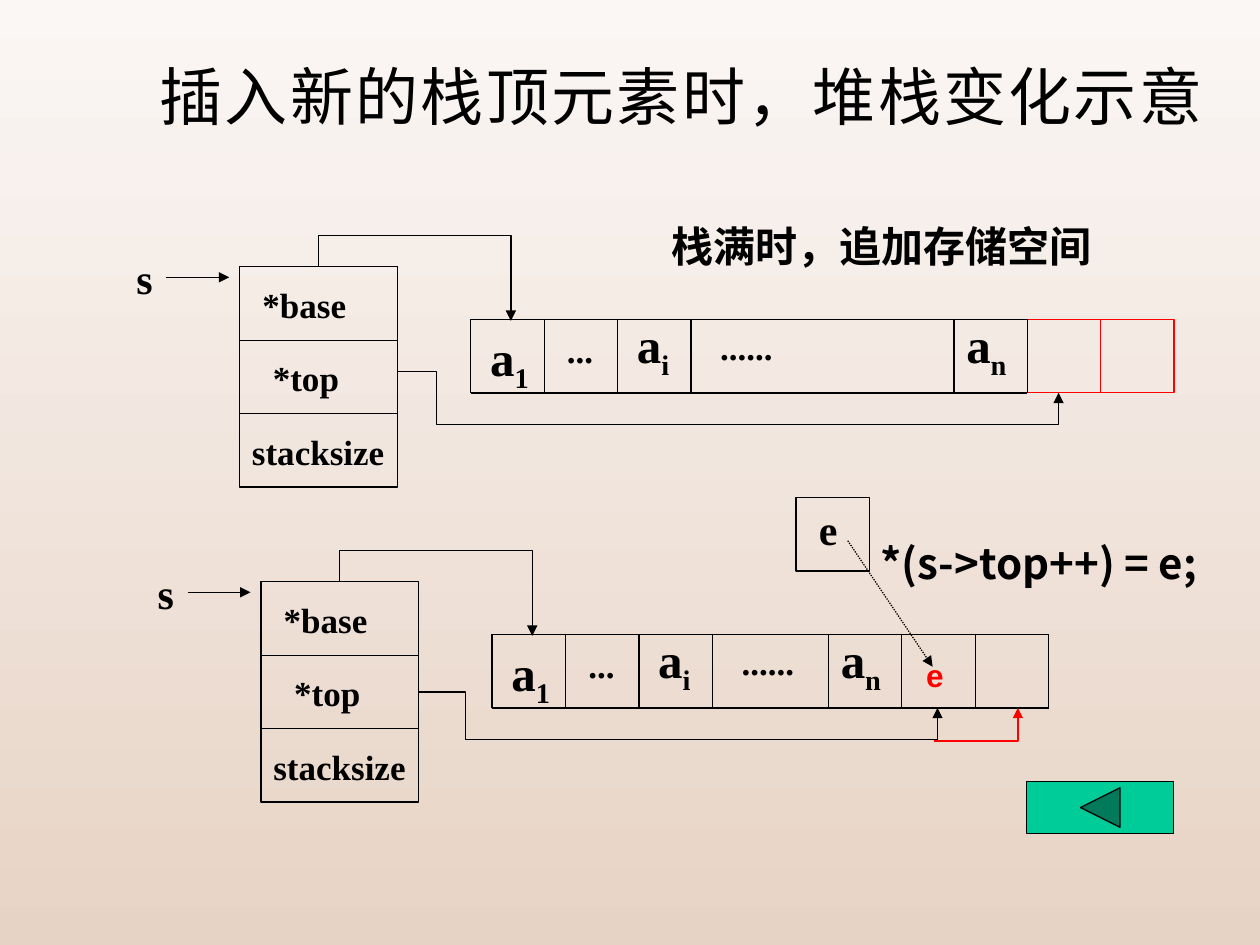
"""Build a slide on how a stack changes when a new top element is pushed."""
import lxml.etree
import pptx
import pptx.dml.color
import pptx.enum.dml
import pptx.enum.shapes
import pptx.enum.text
import pptx.oxml.ns
import pptx.util

Cm, Pt, qn = pptx.util.Cm, pptx.util.Pt, pptx.oxml.ns.qn
Shape = pptx.enum.shapes.MSO_SHAPE
Link = pptx.enum.shapes.MSO_CONNECTOR
Fit = pptx.enum.text.MSO_AUTO_SIZE
Align = pptx.enum.text.PP_ALIGN
Anchor = pptx.enum.text.MSO_ANCHOR

SERIF, HAN = "Times New Roman", "Noto Sans CJK SC"
BLACK, RED = "000000", "FF0000"
CELL, WIDE = 1.48, 3.18
ROW_X, ROW_Y, ROW_W = 4.66, 1.06, 11.22
TITLE = "插入新的栈顶元素时，堆栈变化示意"

LABELS = [
    ("*base", "", 0.21, 0.21, 2.3, 1.09, 20),
    ("*top", "", 0.42, 1.69, 1.9, 1.09, 20),
    ("stacksize", "", 0, 3.18, 3.2, 1.09, 20),
    ("......", "", 9.44, 1.06, 1.6, 1.09, 20),
    ("a", "1", 4.8, 1.09, 1.35, 1.45, 28),
    ("...", "", 6.35, 1.12, 1.06, 1.09, 20),
    ("a", "i", 7.76, 0.84, 1.2, 1.45, 28),
    ("s", "", -2.33, -0.42, 0.86, 1.27, 24),
]
STACKS = [
    {"at": (4.83, 5.38), "free": 0, "from": (3.18, 2.11),
     "to": (16.51, 2.54), "adj": (0.059, 2.5)},
    {"at": (5.26, 11.73), "free": 2, "from": (3.18, 2.22),
     "to": (13.64, 2.54), "adj": (0.091, 3)},
]
NOTES = [
    ("e", 16.26, 10.03, 0.9, 1.27, {"wrap": False}),
    ("栈满时，追加存储空间", 13.28, 4.32, 9.19, 1.27, {"face": HAN}),
    ("*(s->top++) = e;", 17.5, 10.72, 7.29, 1.27, {"face": HAN, "wrap": False}),
    ("e", 18.42, 13.11, 1.19, 1.02, {"face": "Arial", "size": 18, "hue": RED}),
]

deck = pptx.Presentation()
deck.slide_width, deck.slide_height = Cm(25.4), Cm(19.05)
slide = deck.slides.add_slide(deck.slide_layouts[5])
shapes = slide.shapes


def rgb(hue):
    """Turn a hex string into a colour."""
    return pptx.dml.color.RGBColor.from_string(hue)


def write(frame, text, sub="", face=SERIF, size=24, hue=BLACK, bold=True, wrap=True):
    """Fill a text frame with a run and an optional subscript."""
    frame.word_wrap = wrap
    para = frame.paragraphs[0]
    for part in filter(None, (text, sub)):
        run = para.add_run()
        run.text = part
        font = run.font
        font.name, font.size, font.bold = face, Pt(size), bold
        font.color.rgb = rgb(hue)
        props = run._r.get_or_add_rPr()
        lxml.etree.SubElement(props, qn("a:ea")).set("typeface", face)
    if sub:
        props.set("baseline", "-25000")
    return para


def label(text, x, y, w, h, **form):
    """Add a text box."""
    frame = shapes.add_textbox(Cm(x), Cm(y), Cm(w), Cm(h)).text_frame
    write(frame, text, **form)
    frame.auto_size = Fit.SHAPE_TO_FIT_TEXT


def box(x, y, w=CELL, h=CELL, hue=BLACK, fill=None, kind=Shape.RECTANGLE):
    """Add an outlined shape."""
    item = shapes.add_shape(kind, Cm(x), Cm(y), Cm(w), Cm(h))
    item.shadow.inherit = False
    item.line.color.rgb, item.line.width = rgb(hue), Pt(0.75)
    if fill:
        item.fill.solid()
        item.fill.fore_color.rgb = rgb(fill)
    else:
        item.fill.background()


def line(x1, y1, x2, y2, hue=BLACK, head=False, dash=None, kind=Link.STRAIGHT):
    """Add a connector, with an arrowhead at its end on request."""
    item = shapes.add_connector(kind, Cm(x1), Cm(y1), Cm(x2), Cm(y2))
    item.line.color.rgb, item.line.width = rgb(hue), Pt(0.75)
    if dash:
        item.line.dash_style = dash
    props = item._element.spPr
    if head:
        tip = lxml.etree.SubElement(props.find(qn("a:ln")), qn("a:tailEnd"))
        tip.set("type", "triangle")
    lxml.etree.SubElement(props, qn("a:effectLst"))
    return item


def bend(x1, y1, x2, y2, form, adj=(), turn=False, hue=BLACK):
    """Add an elbow arrow, turned a quarter when it leaves upwards."""
    if turn:
        mx, my, dx, dy = (x1 + x2) / 2, (y1 + y2) / 2, (x2 - x1) / 2, (y2 - y1) / 2
        x1, y1, x2, y2 = mx - dy, my + dx, mx + dy, my - dx
    props = line(x1, y1, x2, y2, hue, True, kind=Link.ELBOW)._element.spPr
    if turn:
        props.find(qn("a:xfrm")).set("rot", "5400000")
    geom = props.find(qn("a:prstGeom"))
    geom.set("prst", form)
    guides = geom.find(qn("a:avLst"))
    if guides is None:
        guides = lxml.etree.SubElement(geom, qn("a:avLst"))
    for num, part in enumerate(adj, 1):
        guide = lxml.etree.SubElement(guides, qn("a:gd"))
        guide.set("name", f"adj{num}")
        guide.set("fmla", f"val {round(part * 100000)}")


def stack(data):
    """Draw one stack record with its array and pointers."""
    x, y = data["at"]
    box(x, y, WIDE, 3 * CELL)
    box(x, y + CELL, WIDE)
    left, top, low = x + ROW_X, y + ROW_Y, y + ROW_Y + CELL
    end = left + ROW_W
    last = end - (data["free"] + 1) * CELL
    for level in (top, low):
        line(left, level, end, level)
    marks = [left + CELL * n for n in range(4)]
    marks += [last + CELL * n for n in range(data["free"] + 2)]
    for mark in marks:
        line(mark, top, mark, low)
    for text, sub, dx, dy, w, h, size in LABELS:
        label(text, x + dx, y + dy, w, h, sub=sub, size=size, wrap=sub == "1")
    label("a", last, y + 0.84, 1.4, 1.45, sub="n", size=28, wrap=False)
    line(x - CELL, y + 0.21, x - 0.21, y + 0.21, head=True)
    bend(x + WIDE / 2, y, x + 5.47, y + 1.09, "bentConnector3", (-0.578,), True)
    (x1, y1), (x2, y2) = data["from"], data["to"]
    bend(x + x1, y + y1, x + x2, y + y2, "bentConnector4", data["adj"])


back = slide.background.fill
back.gradient()
back.gradient_angle = 270
for stop, hue, spot in zip(back.gradient_stops, ("FBF7F5", "E7D3C5"), (0, 1)):
    stop.color.rgb, stop.position = rgb(hue), spot

title = shapes.title
title.left, title.top, title.width, title.height = Cm(2.96), Cm(1.27), Cm(21.59), Cm(3.18)
frame = title.text_frame
frame.auto_size, frame.vertical_anchor, frame.margin_top = Fit.NONE, Anchor.TOP, Cm(0.24)
para = write(frame, TITLE, face=HAN, size=36, bold=False)
para.add_line_break()
para.alignment, para.line_spacing = Align.JUSTIFY, 0.75

for num in range(2):
    box(20.71 + num * CELL, 6.44, hue=RED)
for data in STACKS:
    stack(data)
box(16.05, 10.03)
for text, x, y, w, h, form in NOTES:
    label(text, x, y, w, h, **form)
line(17.09, 10.9, 18.8, 13.44, head=True, dash=pptx.enum.dml.MSO_LINE.ROUND_DOT)
bend(18.82, 14.94, 20.52, 14.27, "bentConnector2", hue=RED)
box(20.7, 15.75, 2.96, 1.06, fill="00CC99", kind=Shape.ACTION_BUTTON_BACK_OR_PREVIOUS)

deck.save("out.pptx")
